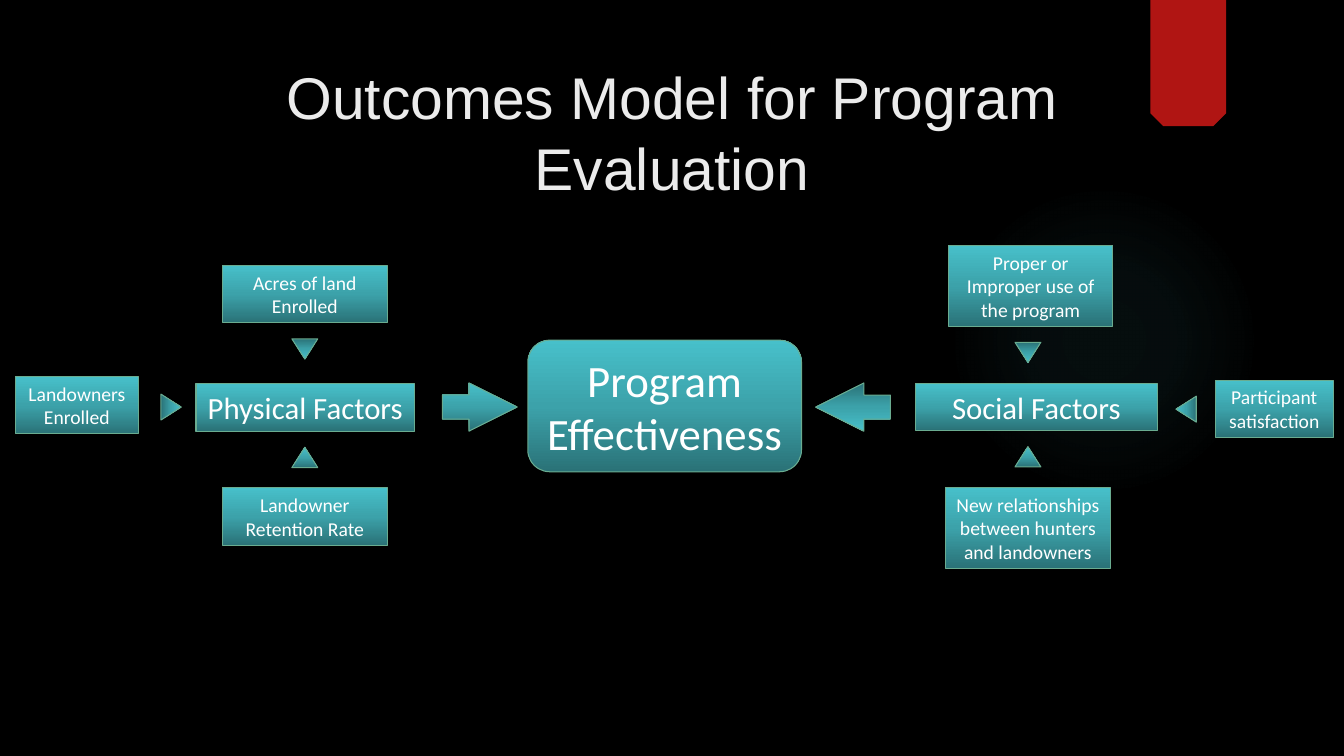
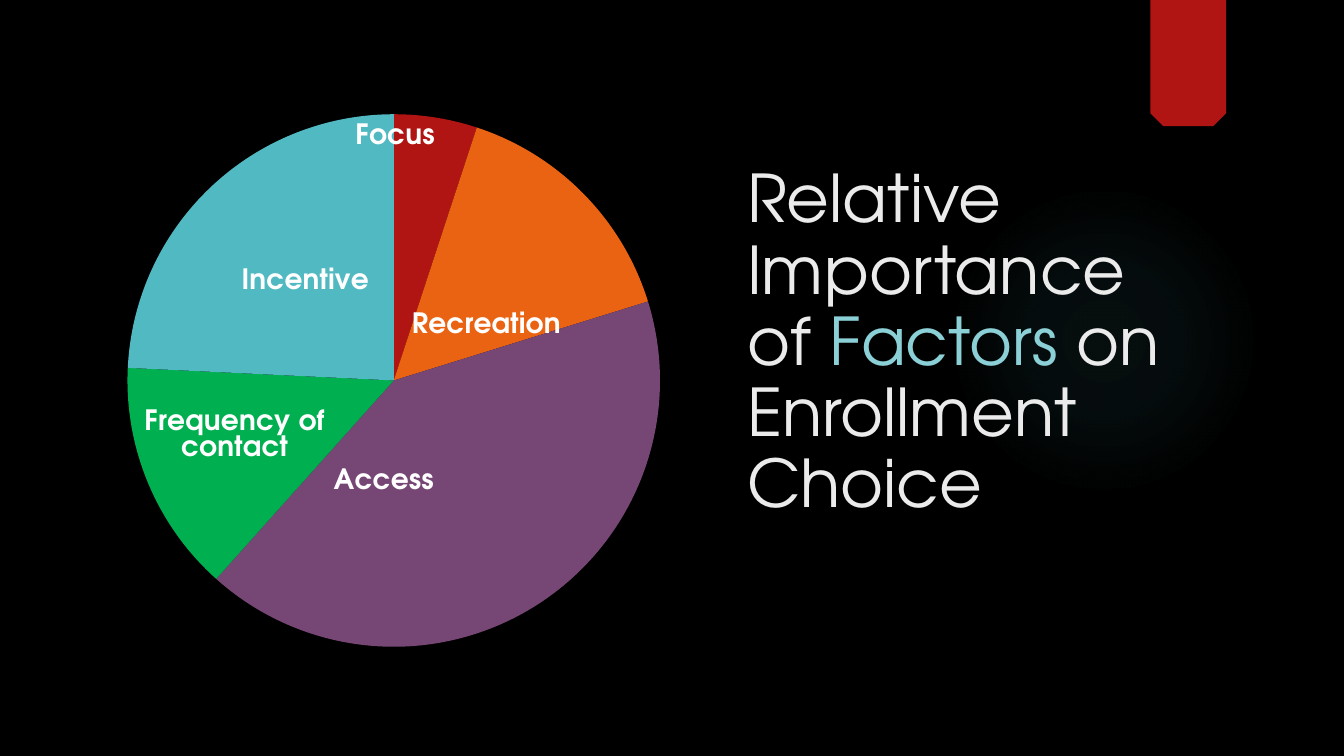
from lxml import etree
from pptx import Presentation
from pptx.chart.data import CategoryChartData
from pptx.dml.color import RGBColor
from pptx.enum import chart as charts, shapes, text
from pptx.oxml import ns, parse_xml
from pptx.util import Pt

BLACK = RGBColor(0x00, 0x00, 0x00)
WHITE = RGBColor(0xFF, 0xFF, 0xFF)
OFF_WHITE = RGBColor(0xEB, 0xEB, 0xEB)
RED = RGBColor(0xB0, 0x15, 0x13)
ORANGE = RGBColor(0xEA, 0x63, 0x12)
PURPLE = RGBColor(0x76, 0x46, 0x74)
GREEN = RGBColor(0x00, 0xB0, 0x50)
TEAL = RGBColor(0x50, 0xB9, 0xC1)
PALE_TEAL = RGBColor(0x8A, 0xD0, 0xD6)
EDGE = RGBColor(0x6A, 0xAC, 0x90)
DARK_TEAL = RGBColor(0x2A, 0x72, 0x77)
MID_TEAL = RGBColor(0x3C, 0xA2, 0xAA)
LIGHT_TEAL = RGBColor(0x47, 0xC0, 0xCA)

# Gradient stops: position in percent, colour, opacity in percent
PANEL_STOPS = [(0, DARK_TEAL, 100), (50, MID_TEAL, 100), (100, LIGHT_TEAL, 100)]
GLOW_STOPS = [(0, TEAL, 7), (36, TEAL, 6), (69, TEAL, 0)]
UPWARD = '<a:lin ang="16200000" scaled="0"/>'
RADIAL = ('<a:path path="circle"><a:fillToRect l="50000" t="50000" '
          'r="50000" b="50000"/></a:path>')

SHAPE = shapes.MSO_SHAPE
DISPLAY_FONT = "TeX Gyre Adventor"


def add_gradient_shape(page, preset, place, stops, direction, turn=0):
    shape = page.shapes.add_shape(preset, *map(Pt, place))
    shape.shadow.inherit = False
    shape.rotation = turn
    shape.fill.gradient()
    stop_xml = "".join(
        f'<a:gs pos="{spot * 1000}"><a:srgbClr val="{colour}">'
        f'<a:alpha val="{opacity * 1000}"/></a:srgbClr></a:gs>'
        for spot, colour, opacity in stops)
    old_fill = shape._element.spPr.find(ns.qn("a:gradFill"))
    old_fill.getparent().replace(old_fill, parse_xml(
        f'<a:gradFill {ns.nsdecls("a")} rotWithShape="1">'
        f'<a:gsLst>{stop_xml}</a:gsLst>{direction}</a:gradFill>'))
    shape.line.color.rgb = EDGE
    shape.line.width = Pt(0.75)
    return shape


def write(shape, spans, size, font, align, anchor):
    """Fill a shape with one paragraph of (words, colour) runs."""
    frame = shape.text_frame
    frame.word_wrap = True
    frame.vertical_anchor = anchor
    para = frame.paragraphs[0]
    para.alignment = align
    for words, colour in spans:
        span = para.add_run()
        span.text = words
        span.font.size = Pt(size)
        span.font.name = font
        span.font.color.rgb = colour
    return para


deck = Presentation()
deck.slide_width, deck.slide_height = Pt(960), Pt(540)
background = deck.slide_master.background.fill
background.solid()
background.fore_color.rgb = BLACK

# Both slides: glow and ribbon
pages = [deck.slides.add_slide(deck.slide_layouts[6]) for _ in range(2)]
for page in pages:
    glow = add_gradient_shape(page, SHAPE.OVAL, (677.5, 131.75, 222, 222),
                              GLOW_STOPS, RADIAL)
    glow.line.fill.background()
    ribbon = page.shapes.add_shape(SHAPE.SNIP_2_SAME_RECTANGLE,
                                   Pt(821.75), Pt(0), Pt(54), Pt(90))
    ribbon.rotation = 180
    ribbon.shadow.inherit = False
    ribbon.fill.solid()
    ribbon.fill.fore_color.rgb = RED
    ribbon.line.fill.background()

model_page, chart_page = pages
CENTER, LEFT = text.PP_ALIGN.CENTER, text.PP_ALIGN.LEFT
MIDDLE, BOTTOM = text.MSO_ANCHOR.MIDDLE, text.MSO_ANCHOR.BOTTOM

# Slide 1: outcomes model
title = model_page.shapes.add_textbox(Pt(109.5), Pt(39), Pt(741), Pt(110))
write(title, [("Outcomes Model for Program Evaluation", OFF_WHITE)],
      42, "Arial", CENTER, MIDDLE)

panels = [
    ("Program Effectiveness", 32, (377, 243, 195.5, 94)),
    ("Social Factors", 22, (654, 274, 172.5, 33.5)),
    ("Proper or Improper use of the program", 14, (677.5, 175.25, 117.5, 58)),
    ("Participant satisfaction", 14, (868, 271.5, 84.5, 41)),
    ("New relationships between hunters and landowners", 14,
     (675.5, 348, 117.5, 58)),
    ("Landowners Enrolled", 14, (11, 269, 88, 41)),
    ("Landowner Retention Rate", 14, (159, 348.5, 117.5, 41)),
    ("Physical Factors", 22, (140, 274, 156, 34)),
    ("Acres of land Enrolled", 14, (159, 189.5, 117.5, 41)),
]
for words, size, place in panels:
    preset = SHAPE.ROUNDED_RECTANGLE if size == 32 else SHAPE.RECTANGLE
    panel = add_gradient_shape(model_page, preset, place, PANEL_STOPS, UPWARD)
    write(panel, [(words, WHITE)], size, "Calibri", CENTER, MIDDLE)

for left, turn in [(316, 0), (582.5, 180)]:
    arrow = add_gradient_shape(model_page, SHAPE.RIGHT_ARROW,
                               (left, 273.5, 53.5, 34.5),
                               PANEL_STOPS, UPWARD, turn)
    arrow.adjustments[1] = 1

pointers = [(208.5, 319.5, 0), (725, 319, 0), (725, 244.5, 180),
            (208.5, 242, 180), (838, 285, 270), (113, 283.5, 90)]
for left, top, turn in pointers:
    add_gradient_shape(model_page, SHAPE.ISOSCELES_TRIANGLE,
                       (left, top, 18.5, 14.5), PANEL_STOPS, UPWARD, turn)

# Slide 2: pie of factors; label shifts are fractions of the chart frame
heading = chart_page.shapes.add_textbox(Pt(526.5), Pt(114), Pt(331), Pt(262))
para = write(heading, [("Relative Importance of ", OFF_WHITE),
                       ("Factors", PALE_TEAL),
                       (" on Enrollment Choice", OFF_WHITE)],
             47, DISPLAY_FONT, LEFT, BOTTOM)
para.line_spacing = 0.9

factors = [
    ("Focus", 5, RED, None),
    ("Recreation", 15, ORANGE, (-0.02, 0.12)),
    ("Access", 41, PURPLE, (-0.11, -0.11)),
    ("Frequency of contact", 14, GREEN, (-0.01, -0.02)),
    ("Incentive", 24, TEAL, (0.03, 0.08)),
]
data = CategoryChartData()
data.categories = [factor[0] for factor in factors]
data.add_series("Series 1", [factor[1] for factor in factors])
pie = chart_page.shapes.add_chart(charts.XL_CHART_TYPE.PIE, Pt(-44), Pt(-70.5),
                                  Pt(652.5), Pt(682), data).chart
pie.has_legend = False
pie.has_title = False
pie.font.name = DISPLAY_FONT
pie.font.size = Pt(10)
pie.font.color.rgb = WHITE
plot = pie.plots[0]
plot.vary_by_categories = True
series = plot.series[0]


def set_layout(holder, index, **values):
    """Place a manual chart layout among the children of holder."""
    for old in holder.findall(ns.qn("c:layout")):
        holder.remove(old)
    layout = etree.Element(ns.qn("c:layout"))
    manual = etree.SubElement(layout, ns.qn("c:manualLayout"))
    for name, value in values.items():
        etree.SubElement(manual, ns.qn(f"c:{name}")).set("val", str(value))
    holder.insert(index, layout)


plot_area = pie._chartSpace.find(".//" + ns.qn("c:plotArea"))
set_layout(plot_area, 0, layoutTarget="inner", xMode="edge", yMode="edge",
           x=0.207, y=0.004, w=0.583, h=0.996)

labels = series.data_labels
labels.show_category_name = True
labels.show_value = False
labels.position = charts.XL_LABEL_POSITION.INSIDE_END
for index, (name, value, colour, shift) in enumerate(factors):
    point = series.points[index]
    point.format.fill.solid()
    point.format.fill.fore_color.rgb = colour
    point.format.line.fill.background()
    label = point.data_label
    label.position = charts.XL_LABEL_POSITION.INSIDE_END
    for font in (labels.font, label.font):
        font.name = DISPLAY_FONT
        font.size = Pt(20)
        font.bold = True
        font.color.rgb = WHITE

for element, factor in zip(series._element.iter(ns.qn("c:dLbl")), factors):
    element.find(ns.qn("c:showVal")).set("val", "0")
    element.find(ns.qn("c:showCatName")).set("val", "1")
    percent = element.find(ns.qn("c:showPercent"))
    if percent is not None:
        percent.set("val", "0")
    if factor[3]:
        set_layout(element, 1, x=factor[3][0], y=factor[3][1])

deck.save("out.pptx")
